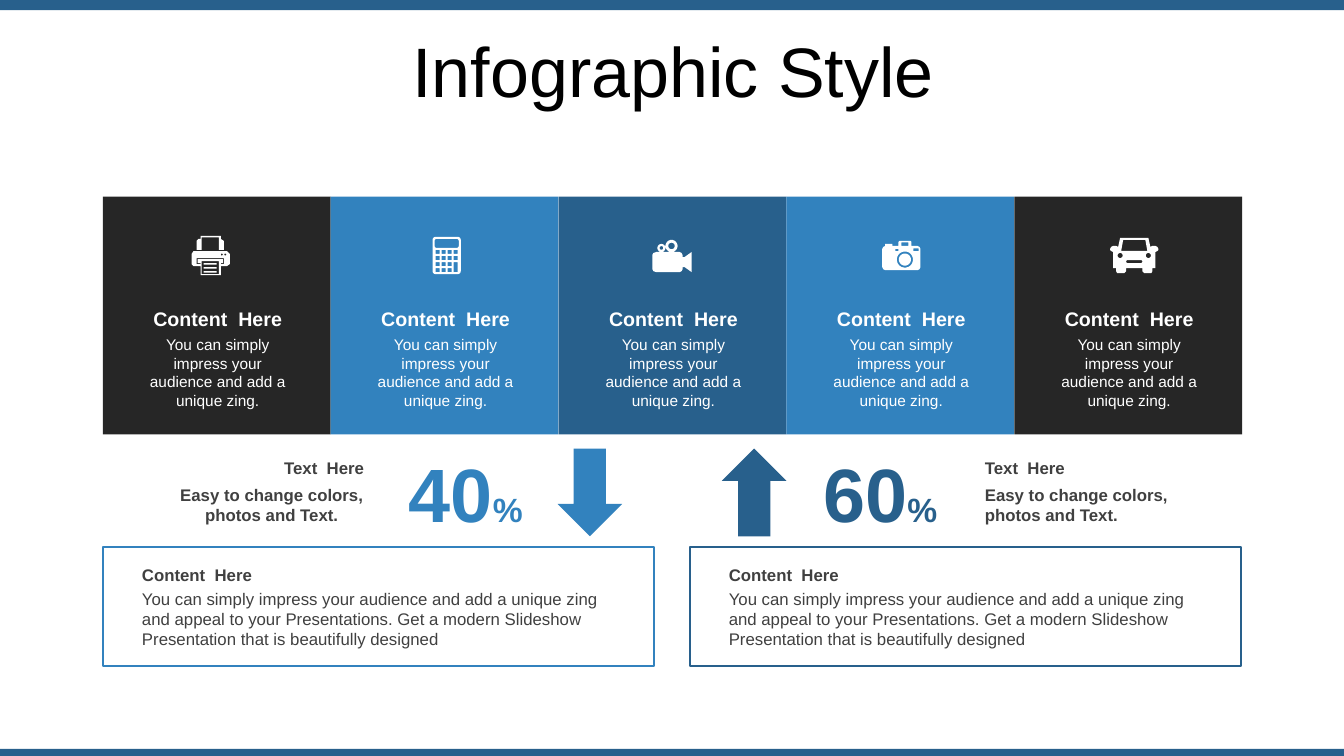
from math import cos, pi, sin

from pptx import Presentation
from pptx.dml.color import RGBColor
from pptx.enum.shapes import MSO_SHAPE
from pptx.enum.text import MSO_ANCHOR, MSO_AUTO_SIZE, PP_ALIGN
from pptx.util import Pt

PX = 9144  # EMU per px, 100 px to the inch
FINE = 10  # freeform units per px
FONT = "Arial"

WHITE = RGBColor(0xFF, 0xFF, 0xFF)
BLACK = RGBColor(0x00, 0x00, 0x00)
CHARCOAL = RGBColor(0x26, 0x26, 0x26)
GRAY = RGBColor(0x40, 0x40, 0x40)
BLUE = RGBColor(0x32, 0x82, 0xBE)
NAVY = RGBColor(0x28, 0x60, 0x8C)

LEFT, CENTER, RIGHT = PP_ALIGN.LEFT, PP_ALIGN.CENTER, PP_ALIGN.RIGHT
TOP, MIDDLE = MSO_ANCHOR.TOP, MSO_ANCHOR.MIDDLE
RECT, ARROW = MSO_SHAPE.RECTANGLE, MSO_SHAPE.DOWN_ARROW
GROW, FIXED = MSO_AUTO_SIZE.SHAPE_TO_FIT_TEXT, MSO_AUTO_SIZE.NONE

HEADING = "Content  Here"
TILE_TEXT = "You can simply impress your audience and add a unique zing."
CARD_TEXT = ("You can simply impress your audience and add a unique zing and appeal "
             "to your Presentations. Get a modern Slideshow Presentation that is "
             "beautifully designed")
TILE_LEFT, TILE_TOP, TILE_WIDTH, TILE_HEIGHT = 102, 195, 226, 236
TILE_COLORS = [CHARCOAL, BLUE, NAVY, BLUE, CHARCOAL]


def emu(*lengths):
    return [length * PX for length in lengths]


def write(frame, text, *, size, color, bold=False, align=LEFT, anchor=TOP,
          suffix="", suffix_size=None, auto_size=GROW):
    frame.word_wrap = True
    frame.auto_size = auto_size
    frame.vertical_anchor = anchor
    paragraph = frame.paragraphs[0]
    paragraph.alignment = align
    for words, points in ((text, size), (suffix, suffix_size)):
        if words:
            run = paragraph.add_run()
            run.text = words
            run.font.name = FONT
            run.font.size = Pt(points)
            run.font.bold = bold
            run.font.color.rgb = color
    return paragraph


def add_text(slide, box, text, **style):
    write(slide.shapes.add_textbox(*emu(*box)).text_frame, text, **style)


def add_block(slide, box, fill=None, outline=None, kind=RECT):
    block = slide.shapes.add_shape(kind, *emu(*box))
    block.shadow.inherit = False
    if fill is None:
        block.fill.background()
    else:
        block.fill.solid()
        block.fill.fore_color.rgb = fill
    if outline is None:
        block.line.fill.background()
    else:
        block.line.color.rgb = outline
        block.line.width = Pt(1.5)
    return block


# Icon outlines: inner contours cut holes in outer ones
def box(left, top, right, bottom):
    return [(left, top), (right, top), (right, bottom), (left, bottom)]


def rounded(left, top, right, bottom, r):
    corners = [(right - r, bottom - r), (left + r, bottom - r),
               (left + r, top + r), (right - r, top + r)]
    return [(x + r * cos((quarter + step / 4) * pi / 2),
             y + r * sin((quarter + step / 4) * pi / 2))
            for quarter, (x, y) in enumerate(corners) for step in range(5)]


def circle(x, y, r):
    return [(x + r * cos(k * pi / 16), y + r * sin(k * pi / 16)) for k in range(32)]


def printer():
    return [
        [(2, 15), (35, 15), (38, 18), (38, 28), (35, 30), (29, 30), (29, 39),
         (9, 39), (9, 30), (2, 30), (0, 28), (0, 18)],
        box(10, 25, 27, 38),
        *[box(12, y, 25, y + 1.4) for y in (27, 31, 35)],
        [(5, 22), (32, 22), (32, 28), (29, 28), (29, 27), (31, 27), (31, 23),
         (6, 23), (6, 27), (9, 27), (9, 28), (5, 28)],
        circle(33.5, 18.5, 1), circle(30, 18.5, 1),
        [(9, 0), (29, 0), (29, 3), (32, 5), (32, 14), (27, 14), (27, 1.5),
         (10, 1.5), (10, 14), (5, 14), (5, 5), (7, 3), (9, 3)],
    ]


def calculator():
    keys = [box(3 + 6 * column, 13 + 6 * row, 7 + 6 * column, 17 + 6 * row)
            for row in range(4) for column in range(4) if column < 3 or row < 2]
    return [rounded(0, 0, 28, 37, 3), rounded(2, 2, 26, 11, 2), *keys,
            box(21, 25, 25, 35)]


def video_camera():
    return [
        circle(9, 9, 4), circle(9, 9, 1.8), circle(19, 7, 6), circle(19, 7, 3.2),
        [(4, 13), (27, 13), (29, 14), (30, 16), (30, 18), (32, 18), (39, 13),
         (39, 33), (32, 28), (30, 28), (30, 30), (29, 32), (27, 33), (4, 33),
         (1, 32), (0, 30), (0, 16), (1, 14)],
    ]


def photo_camera():
    return [
        [(17, 0), (28, 0), (29, 1), (29, 5), (35, 5), (37, 6), (38, 8), (38, 26),
         (37, 28), (35, 29), (3, 29), (1, 28), (0, 26), (0, 8), (1, 6), (3, 5),
         (3, 3), (10, 3), (10, 5), (16, 5), (16, 1)],
        circle(22.5, 18.5, 8), circle(22.5, 18.5, 6),
        box(13, 8, 16, 10), box(31, 7.5, 36, 10), box(19, 1.5, 26, 5),
    ]


def car():
    half = [(38, 0), (40, 9), (42, 8), (45, 8), (47, 9), (48, 11), (48, 12),
            (47, 13), (45, 14), (45, 30), (42, 30), (42, 33), (41, 35), (34, 35),
            (32, 33), (32, 30)]
    mirrored = [(48 - x, y) for x, y in reversed(half)]
    return [half + mirrored, [(13, 2), (35, 2), (37, 13), (11, 13)],
            circle(10, 17.5, 2.5), circle(38, 17.5, 2.5),
            rounded(16, 22, 32, 25, 1.4)]


def add_icon(slide, left, top, contours):
    contours = [[(x * FINE, y * FINE) for x, y in contour] for contour in contours]
    builder = slide.shapes.build_freeform(*contours[0][0], scale=PX / FINE)
    for number, contour in enumerate(contours):
        if number:
            builder.move_to(*contour[0])
        builder.add_line_segments(contour[1:], close=True)
    icon = builder.convert_to_shape(*emu(left, top))
    icon.shadow.inherit = False
    icon.fill.solid()
    icon.fill.fore_color.rgb = WHITE
    icon.line.fill.background()


def add_tile(slide, number, color):
    left = TILE_LEFT + number * TILE_WIDTH
    add_block(slide, (left, TILE_TOP, TILE_WIDTH, TILE_HEIGHT), fill=color)
    add_text(slide, (left + 31, 299, 166, 34), HEADING, size=14, color=WHITE,
             bold=True, align=CENTER, anchor=MIDDLE)
    add_text(slide, (left + 31, 328, 166, 66), TILE_TEXT, size=11, color=WHITE,
             align=CENTER)


def add_share(slide, value, color, value_left, arrow_left, rotation):
    add_text(slide, (value_left, 438, 142, 101), value, size=54, color=color,
             bold=True, align=CENTER, suffix="%", suffix_size=24)
    arrow = add_block(slide, (arrow_left, 445, 64, 87), fill=color, kind=ARROW)
    arrow.rotation = rotation


def add_caption(slide, left, note_left, width, align, note_align):
    style = dict(size=12, color=GRAY, bold=True)
    add_text(slide, (left, 449, width, 30), "Text  Here", align=align,
             anchor=MIDDLE, **style)
    add_text(slide, (note_left, 476, width, 50),
             "Easy to change colors, photos and Text.", align=note_align, **style)


def add_card(slide, left, color):
    add_block(slide, (left, 543, 547, 118), outline=color)
    add_text(slide, (left + 29, 579, 488, 71), CARD_TEXT, size=12, color=GRAY)
    add_text(slide, (left + 29, 555, 488, 30), HEADING, size=12, color=GRAY, bold=True)


def main():
    deck = Presentation()
    deck.slide_width, deck.slide_height = emu(1333, 750)
    slide = deck.slides.add_slide(deck.slide_layouts[5])

    # Edge bars and title
    add_block(slide, (0, 0, 1333, 10), fill=NAVY)
    add_block(slide, (0, 743, 1333, 7), fill=NAVY)
    title = slide.shapes.title
    title.left, title.top, title.width, title.height = emu(35, 37, 1266, 79)
    heading = write(title.text_frame, "Infographic Style", size=50, color=BLACK,
                    align=CENTER, anchor=MIDDLE, auto_size=FIXED)
    heading.line_spacing = 0.8

    # Row of tiles with icons
    for number, color in enumerate(TILE_COLORS):
        add_tile(slide, number, color)
    add_icon(slide, 190, 234, printer())
    add_icon(slide, 429, 235, calculator())
    add_icon(slide, 647, 237, video_camera())
    add_icon(slide, 875, 239, photo_camera())
    add_icon(slide, 1101, 236, car())

    # Shares with arrows and captions
    add_share(slide, "40", BLUE, 391, 553, 0)
    add_share(slide, "60", NAVY, 802, 716, 180)
    add_caption(slide, 160, 164, 211, RIGHT, CENTER)
    add_caption(slide, 967, 967, 207, LEFT, LEFT)

    # Outlined cards
    add_card(slide, 102, BLUE)
    add_card(slide, 684, NAVY)

    deck.save("out.pptx")


if __name__ == "__main__":
    main()
